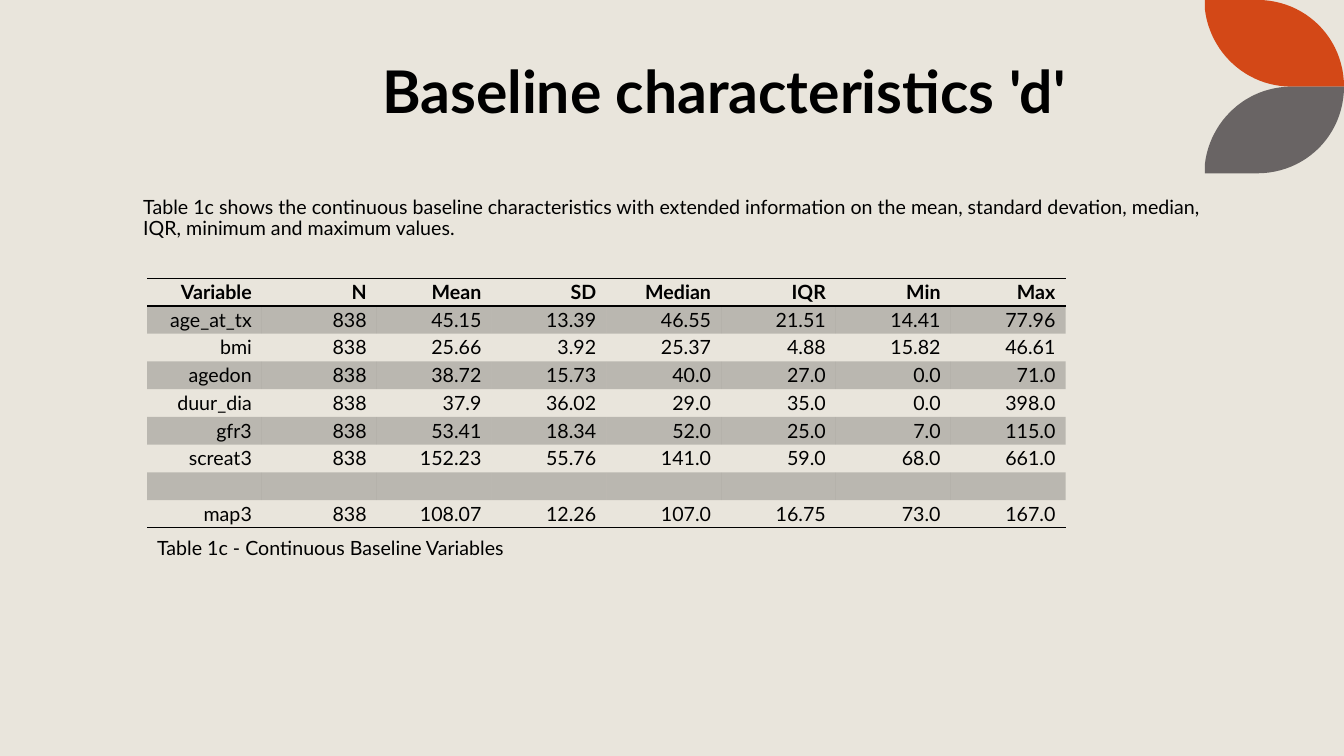
"""Build the baseline characteristics slide with its table of continuous variables."""
from lxml import etree
from pptx import Presentation
from pptx.dml.color import RGBColor
from pptx.enum.text import MSO_ANCHOR, MSO_AUTO_SIZE, PP_ALIGN
from pptx.oxml.ns import qn
from pptx.util import Inches, Pt

LEFT, RIGHT = PP_ALIGN.LEFT, PP_ALIGN.RIGHT
TOP, MIDDLE, BOTTOM = MSO_ANCHOR.TOP, MSO_ANCHOR.MIDDLE, MSO_ANCHOR.BOTTOM
NO_AUTOFIT = MSO_AUTO_SIZE.NONE
COLORS = {"background": "E9E5DC", "ink": "000000", "orange": "D34817", "gray": "696464"}
FONT = "Lato"
TEXT_SIZE = 14
NO_GRID_STYLE = "{2D5ABB26-0587-4C30-8999-92F81FD0307C}"
BASELINE_ROWS = [
    ["Variable", "N", "Mean", "SD", "Median", "IQR", "Min", "Max"],
    ["age_at_tx", "838", "45.15", "13.39", "46.55", "21.51", "14.41", "77.96"],
    ["bmi", "838", "25.66", "3.92", "25.37", "4.88", "15.82", "46.61"],
    ["agedon", "838", "38.72", "15.73", "40.0", "27.0", "0.0", "71.0"],
    ["duur_dia", "838", "37.9", "36.02", "29.0", "35.0", "0.0", "398.0"],
    ["gfr3", "838", "53.41", "18.34", "52.0", "25.0", "7.0", "115.0"],
    ["screat3", "838", "152.23", "55.76", "141.0", "59.0", "68.0", "661.0"],
    [""] * 8,
    ["map3", "838", "108.07", "12.26", "107.0", "16.75", "73.0", "167.0"],
]


def color(name):
    return RGBColor.from_string(COLORS[name])


def style_paragraph(paragraph, size=TEXT_SIZE, bold=False, align=LEFT):
    paragraph.alignment = align
    font = paragraph.font
    font.name, font.size, font.bold = FONT, Pt(size), bold
    font.color.rgb = color("ink")


def fill_text(shape, box, text, size=TEXT_SIZE, bold=False, anchor=TOP, spacing=1.0):
    shape.left, shape.top, shape.width, shape.height = map(Inches, box)
    frame = shape.text_frame
    frame.text = text
    frame.word_wrap = True
    frame.auto_size = NO_AUTOFIT
    frame.vertical_anchor = anchor
    paragraph = frame.paragraphs[0]
    paragraph.line_spacing = spacing
    paragraph.space_before = Pt(0)
    return paragraph, size, bold


def add_text(shape, box, text, size=TEXT_SIZE, bold=False, anchor=TOP, spacing=1.0, bullet_off=False):
    paragraph, size, bold = fill_text(shape, box, text, size, bold, anchor, spacing)
    if bullet_off:
        properties = paragraph._p.get_or_add_pPr()
        properties.set("marL", "0")
        properties.set("indent", "0")
        etree.SubElement(properties, qn("a:buNone"))
    style_paragraph(paragraph, size, bold)


def curve(start, control_1, control_2, end, steps=24):
    points = []
    for step in range(steps + 1):
        t = step / steps
        weights = ((1 - t) ** 3, 3 * t * (1 - t) ** 2, 3 * t * t * (1 - t), t ** 3)
        points.append(tuple(
            sum(weight * value for weight, value in zip(weights, axis))
            for axis in zip(start, control_1, control_2, end)
        ))
    return points


def add_leaf(slide, outer_y, direction, fill):
    outline = [(11.95, 0)]
    outline += curve((12.47, 0), (12.95, 0), (13.33, 0.38), (13.33, 0.86))
    outline += curve((12.81, 0.86), (12.36, 0.86), (12, 0.52), (11.95, 0.09))
    points = [(Inches(x), Inches(outer_y + direction * y)) for x, y in outline]
    builder = slide.shapes.build_freeform(*points[0])
    builder.add_line_segments(points[1:], close=True)
    leaf = builder.convert_to_shape()
    leaf.shadow.inherit = False
    leaf.fill.solid()
    leaf.fill.fore_color.rgb = color(fill)
    leaf.line.fill.background()


def add_rule(cell, edge):
    rule = etree.SubElement(cell._tc.get_or_add_tcPr(), qn(edge), w=str(Pt(1)))
    fill = etree.SubElement(rule, qn("a:solidFill"))
    etree.SubElement(fill, qn("a:srgbClr"), val=COLORS["ink"])


def shade(cell, banded):
    if not banded:
        cell.fill.background()
        return
    cell.fill.solid()
    cell.fill.fore_color.rgb = color("ink")
    tint = cell._tc.tcPr.find(f".//{qn('a:srgbClr')}")
    etree.SubElement(tint, qn("a:alpha"), val="20000")


def add_baseline_table(slide):
    row_count, column_count = len(BASELINE_ROWS), len(BASELINE_ROWS[0])
    last_row = row_count - 1
    table = slide.shapes.add_table(
        row_count, column_count, Inches(1.46), Inches(2.76), Inches(9.11), Inches(2.48)
    ).table
    table._tbl.tblPr.find(qn("a:tableStyleId")).text = NO_GRID_STYLE
    for row, values in enumerate(BASELINE_ROWS):
        for column, value in enumerate(values):
            cell = table.cell(row, column)
            cell.text = value
            cell.margin_left = cell.margin_right = Inches(0.1)
            cell.margin_top = cell.margin_bottom = Inches(0.02)
            cell.vertical_anchor = MIDDLE if row == 0 else TOP
            paragraph = cell.text_frame.paragraphs[0]
            style_paragraph(paragraph, bold=row == 0, align=RIGHT)
            if not value:
                paragraph._p.get_or_add_endParaRPr().set("sz", str(TEXT_SIZE * 100))
            if row == 0:
                add_rule(cell, "a:lnT")
            if row in (0, last_row):
                add_rule(cell, "a:lnB")
            shade(cell, row % 2 == 1)


def main():
    deck = Presentation()
    deck.slide_width, deck.slide_height = Inches(13.33), Inches(7.5)
    slide = deck.slides.add_slide(deck.slide_layouts[1])
    slide.background.fill.solid()
    slide.background.fill.fore_color.rgb = color("background")
    add_leaf(slide, 0, 1, "orange")
    add_leaf(slide, 1.72, -1, "gray")
    add_text(
        slide.placeholders[1], (1.32, 1.91, 10.69, 3.68),
        "Table 1c shows the continuous baseline characteristics with extended information "
        "on the mean, standard devation, median, IQR, minimum and maximum values.",
        spacing=0.9, bullet_off=True,
    )
    add_baseline_table(slide)
    caption = slide.shapes.add_textbox(0, 0, 0, 0)
    add_text(caption, (1.46, 5.27, 6.67, 0.34), "Table 1c - Continuous Baseline Variables")
    add_text(
        slide.shapes.title, (3.69, -0.43, 10.69, 1.72), "Baseline characteristics 'd'",
        size=42, bold=True, anchor=BOTTOM, spacing=0.8,
    )
    deck.save("out.pptx")


if __name__ == "__main__":
    main()
